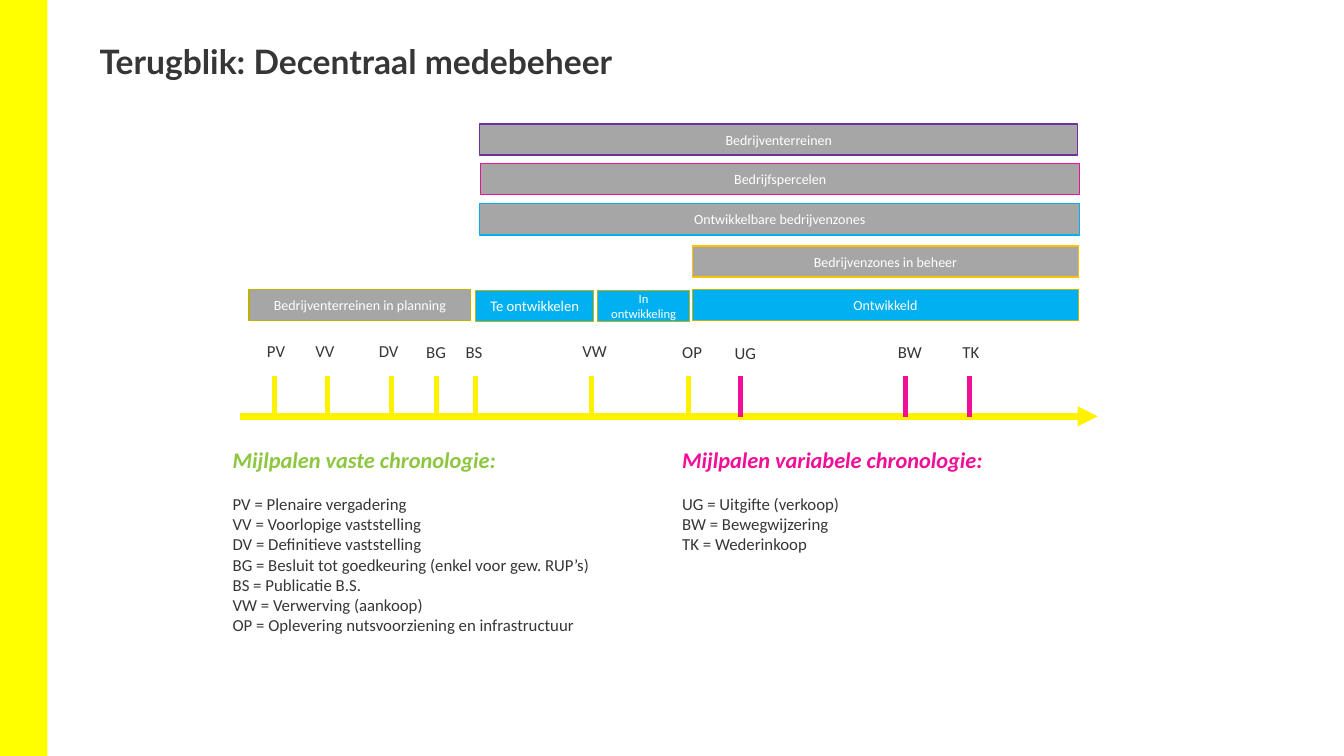
from dataclasses import dataclass

from lxml import etree
from pptx import Presentation
from pptx import util as u
from pptx.dml.color import RGBColor
from pptx.enum import shapes, text
from pptx.oxml import ns

# Grid: 40 columns by 30 rows over the whole slide
SLIDE_WIDTH, SLIDE_HEIGHT = u.Inches(13.333), u.Inches(7.5)
COLUMN, ROW = SLIDE_WIDTH / 40, SLIDE_HEIGHT / 30

BRIGHT_YELLOW = RGBColor(0xFF, 0xFF, 0x00)
YELLOW = RGBColor(0xFF, 0xF2, 0x00)
OLIVE = RGBColor(0xBD, 0xB3, 0x00)
ORANGE = RGBColor(0xFF, 0xC0, 0x00)
GREEN = RGBColor(0x8D, 0xC6, 0x3F)
PINK = RGBColor(0xF2, 0x0E, 0x96)
PURPLE = RGBColor(0x70, 0x30, 0xA0)
BLUE = RGBColor(0x00, 0xB0, 0xF0)
GREY = RGBColor(0xA6, 0xA6, 0xA6)
DARK = RGBColor(0x37, 0x36, 0x36)
WHITE = RGBColor(0xFF, 0xFF, 0xFF)

BAR_ROWS = 1.24
TICK_TOP, TICK_BOTTOM, AXIS_ROW = 14.94, 16.54, 16.52


@dataclass
class Bar:
    label: str
    column: float
    row: float
    columns: float
    fill: RGBColor
    outline: RGBColor
    size: float = 10


@dataclass
class Milestone:
    label: str
    tick_column: float
    label_column: float
    label_row: float = 13.36
    color: RGBColor = YELLOW


@dataclass
class Legend:
    heading: str
    color: RGBColor
    column: float
    rows: float
    items: list[str]


BARS = [
    Bar("Bedrijventerreinen", 14.28, 4.92, 17.8, GREY, PURPLE),
    Bar("Bedrijfspercelen", 14.31, 6.48, 17.82, GREY, PINK),
    Bar("Ontwikkelbare bedrijvenzones", 14.28, 8.08, 17.85, GREY, BLUE),
    Bar("Bedrijvenzones in beheer", 20.61, 9.76, 11.49, GREY, ORANGE),
    Bar("Bedrijventerreinen in planning", 7.41, 11.48, 6.6, GREY, OLIVE),
    Bar("Te ontwikkelen", 14.16, 11.52, 3.51, BLUE, OLIVE, 10.5),
    Bar("In ontwikkeling", 17.79, 11.52, 2.73, BLUE, OLIVE, 9),
    Bar("Ontwikkeld", 20.61, 11.48, 11.49, BLUE, OLIVE),
]

MILESTONES = [
    Milestone("PV", 8.16, 7.65, 13.32),
    Milestone("VV", 9.75, 9.09, 13.32),
    Milestone("DV", 11.64, 10.98, 13.32),
    Milestone("BG", 12.99, 12.39),
    Milestone("BS", 14.16, 13.56),
    Milestone("VW", 17.61, 17.04, 13.32),
    Milestone("OP", 20.49, 20.01),
    Milestone("UG", 22.05, 21.57, 13.4, PINK),
    Milestone("BW", 26.94, 26.43, color=PINK),
    Milestone("TK", 28.86, 28.35, color=PINK),
]

LEGENDS = [
    Legend("Mijlpalen vaste chronologie:", GREEN, 6.63, 7.96, [
        "PV = Plenaire vergadering",
        "VV = Voorlopige vaststelling",
        "DV = Definitieve vaststelling",
        "BG = Besluit tot goedkeuring (enkel voor gew. RUP’s)",
        "BS = Publicatie B.S.",
        "VW = Verwerving (aankoop)",
        "OP = Oplevering nutsvoorziening en infrastructuur",
    ]),
    Legend("Mijlpalen variabele chronologie:", PINK, 20.01, 4.72, [
        "UG = Uitgifte (verkoop)",
        "BW = Bewegwijzering",
        "TK = Wederinkoop",
    ]),
]


def place(column: float, row: float, columns: float, rows: float) -> list[int]:
    return [round(column * COLUMN), round(row * ROW),
            round(columns * COLUMN), round(rows * ROW)]


def add_run(paragraph, words: str, size: float, color: RGBColor,
            font: str = "Calibri", bold: bool = False, italic: bool = False) -> None:
    run = paragraph.add_run()
    run.text = words
    run.font.name, run.font.size = font, u.Pt(size)
    run.font.bold, run.font.italic = bold, italic
    run.font.color.rgb = color


def add_text_frame(slide, column: float, row: float, columns: float, rows: float):
    frame = slide.shapes.add_textbox(*place(column, row, columns, rows)).text_frame
    frame.word_wrap = True
    return frame


def add_rectangle(slide, column: float, row: float, columns: float, rows: float,
                  fill: RGBColor):
    shape = slide.shapes.add_shape(shapes.MSO_SHAPE.RECTANGLE,
                                   *place(column, row, columns, rows))
    shape.shadow.inherit = False
    shape.fill.solid()
    shape.fill.fore_color.rgb = fill
    shape.line.fill.background()
    return shape


def add_line(slide, start: tuple[float, float], end: tuple[float, float],
             color: RGBColor, width: float):
    connector = slide.shapes.add_connector(
        shapes.MSO_CONNECTOR.STRAIGHT, *place(*start, *end))
    connector.line.color.rgb = color
    connector.line.width = u.Pt(width)
    etree.SubElement(connector._element.spPr, ns.qn("a:effectLst"))
    return connector


def add_bar(slide, bar: Bar) -> None:
    shape = add_rectangle(slide, bar.column, bar.row, bar.columns, BAR_ROWS, bar.fill)
    shape.line.color.rgb = bar.outline
    shape.line.width = u.Pt(1)
    frame = shape.text_frame
    frame.word_wrap = True
    frame.vertical_anchor = text.MSO_ANCHOR.MIDDLE
    paragraph = frame.paragraphs[0]
    paragraph.alignment = text.PP_ALIGN.CENTER
    add_run(paragraph, bar.label, bar.size, WHITE)


def add_milestone(slide, milestone: Milestone) -> None:
    add_line(slide, (milestone.tick_column, TICK_TOP),
             (milestone.tick_column, TICK_BOTTOM), milestone.color, 3.5)
    frame = add_text_frame(slide, milestone.label_column, milestone.label_row, 1.47, 1.2)
    add_run(frame.paragraphs[0], milestone.label, 12, DARK)


def add_legend(slide, legend: Legend) -> None:
    frame = add_text_frame(slide, legend.column, 17.52, 12.51, legend.rows)
    heading = frame.paragraphs[0]
    heading.space_after = u.Pt(14.6)
    add_run(heading, legend.heading, 16, legend.color, bold=True, italic=True)
    for item in legend.items:
        add_run(frame.add_paragraph(), item, 12, DARK)


def main() -> None:
    presentation = Presentation()
    presentation.slide_width, presentation.slide_height = SLIDE_WIDTH, SLIDE_HEIGHT
    slide = presentation.slides.add_slide(presentation.slide_layouts[6])

    # Side band and title
    add_rectangle(slide, 0, 0, 1.41, 30, BRIGHT_YELLOW)
    title = add_text_frame(slide, 2.67, 1.6, 35.46, 5.8).paragraphs[0]
    title.line_spacing = 0.9
    add_run(title, "Terugblik: Decentraal medebeheer", 24, DARK, "Lato", bold=True)

    # Time axis with arrowhead
    axis = add_line(slide, (7.14, AXIS_ROW), (32.67, AXIS_ROW), YELLOW, 4.75)
    etree.SubElement(axis.line._get_or_add_ln(), ns.qn("a:tailEnd"), type="triangle")

    # Phases, milestones and their explanation
    for bar in BARS:
        add_bar(slide, bar)
    for milestone in MILESTONES:
        add_milestone(slide, milestone)
    for legend in LEGENDS:
        add_legend(slide, legend)

    presentation.save("out.pptx")


if __name__ == "__main__":
    main()
